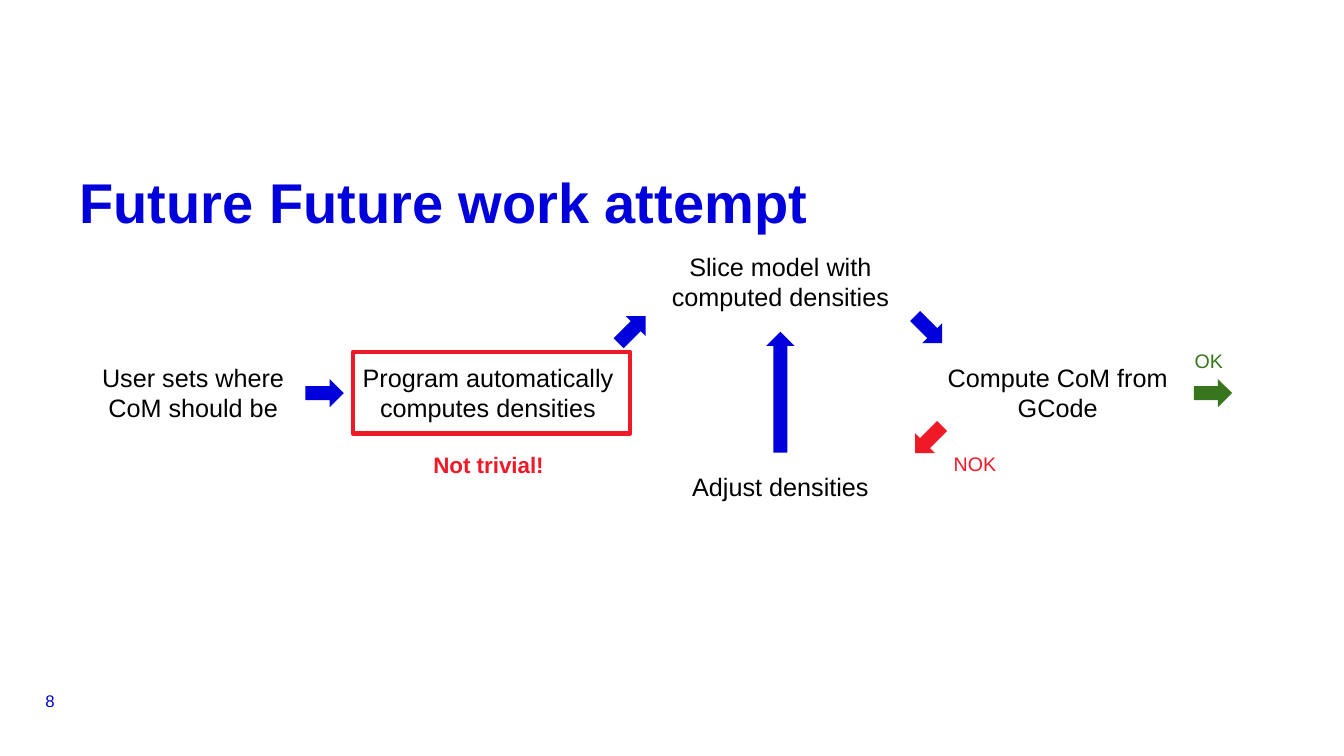
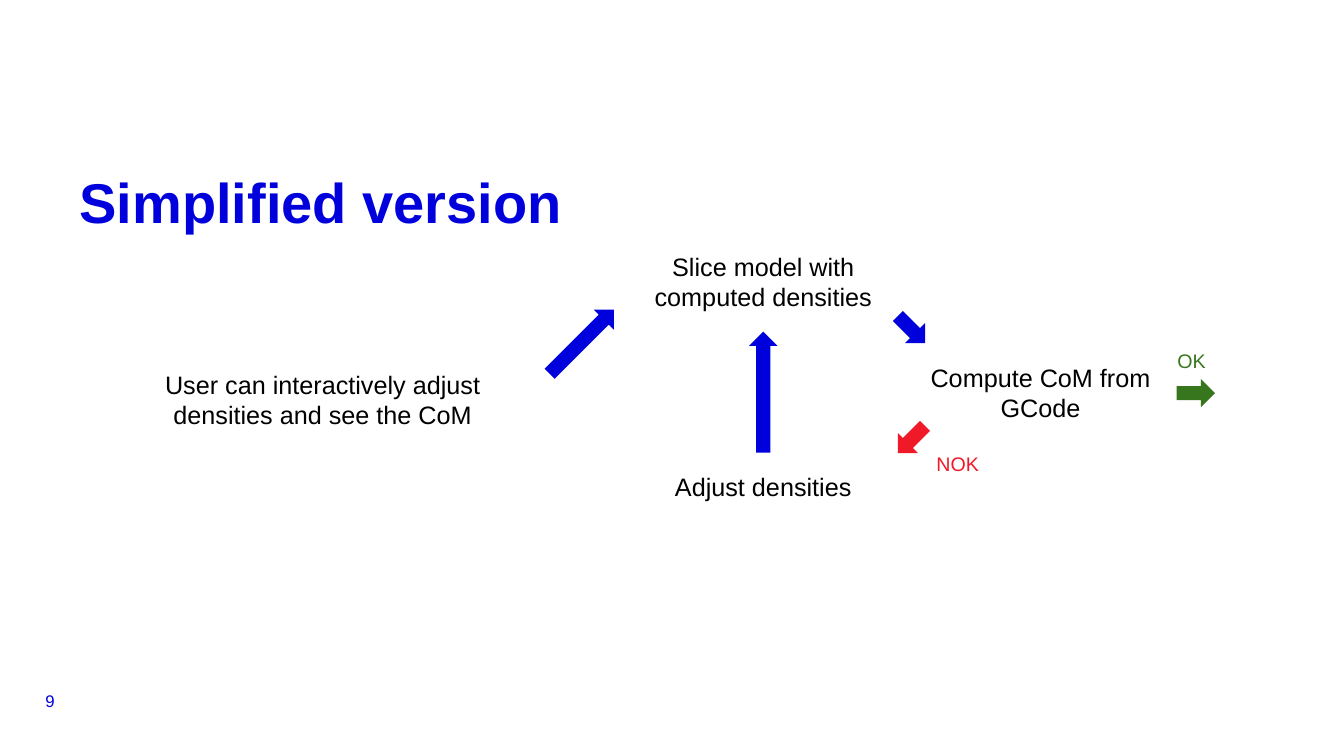
from pptx import Presentation
from pptx.dml.color import RGBColor
from pptx.enum import shapes, text
from pptx.util import Inches, Pt

BLUE = RGBColor(0x00, 0x00, 0xDC)
RED = RGBColor(0xF0, 0x19, 0x28)
GREEN = RGBColor(0x38, 0x76, 0x1D)
BLACK = RGBColor(0x00, 0x00, 0x00)
FONT = "Arial"
ARROW_LENGTH = 0.38
ARROW_HEIGHT = 0.28
STEP_TOP = 3.49
STEP_HEIGHT = 0.81


def add_text(page, words, left, top, width, height, size=18, color=BLACK,
             bold=False, align=text.PP_ALIGN.LEFT,
             anchor=text.MSO_ANCHOR.TOP, inset=0.1):
    box = page.shapes.add_textbox(
        Inches(left), Inches(top), Inches(width), Inches(height))
    frame = box.text_frame
    frame.word_wrap = True
    frame.vertical_anchor = anchor
    frame.margin_left = frame.margin_right = Inches(inset)
    frame.margin_top = frame.margin_bottom = Inches(inset)
    frame.text = words
    for para in frame.paragraphs:
        para.alignment = align
        para.font.name = FONT
        para.font.size = Pt(size)
        para.font.bold = bold
        para.font.color.rgb = color


def add_step(page, words, left, top, width=2.48, height=STEP_HEIGHT):
    add_text(page, words, left, top, width, height,
             align=text.PP_ALIGN.CENTER)


def add_label(page, words, left, top, color):
    add_text(page, words, left, top, 0.73, 0.44, size=14, color=color)


def add_arrow(page, left, top, length=ARROW_LENGTH, rotation=0, color=BLUE):
    arrow = page.shapes.add_shape(
        shapes.MSO_SHAPE.RIGHT_ARROW, Inches(left), Inches(top),
        Inches(length), Inches(ARROW_HEIGHT))
    arrow.rotation = rotation
    arrow.shadow.inherit = False
    arrow.fill.solid()
    arrow.fill.fore_color.rgb = color
    arrow.line.fill.background()


def add_frame(page, left, top, width, height):
    frame = page.shapes.add_shape(
        shapes.MSO_SHAPE.RECTANGLE, Inches(left), Inches(top),
        Inches(width), Inches(height))
    frame.shadow.inherit = False
    frame.fill.background()
    frame.line.color.rgb = RED
    frame.line.width = Pt(3)


def add_page(deck, title, number):
    page = deck.slides.add_slide(deck.slide_layouts[6])
    add_text(page, str(number), 0.45, 6.81, 0.28, 0.28, size=12, color=BLUE,
             anchor=text.MSO_ANCHOR.MIDDLE, inset=0)
    add_text(page, title, 0.79, 1.66, 11.76, 0.64, size=40, color=BLUE,
             bold=True, inset=0)
    return page


def add_density_loop(page, left):
    add_step(page, "Slice model with computed densities", left, 2.39)
    add_step(page, "Adjust densities", left, 4.58, height=0.5)
    add_step(page, "Compute CoM from GCode", left + 2.75, STEP_TOP)
    add_arrow(page, left + 2.52, 3.13, rotation=45)
    add_arrow(page, left + 2.52, 4.22, rotation=135, color=RED)
    add_arrow(page, left + 5.34, 3.76, color=GREEN)
    add_arrow(page, left + 0.64, 3.75, length=1.2, rotation=270)
    add_label(page, "OK", left + 5.25, 3.36, GREEN)
    add_label(page, "NOK", left + 2.86, 4.38, RED)


def build_future_work(deck):
    page = add_page(deck, "Future Future work attempt", 8)
    add_step(page, "User sets where\nCoM should be", 0.87, STEP_TOP, 2.09)
    add_step(page, "Program automatically computes densities",
             3.41, STEP_TOP, 2.86)
    add_density_loop(page, 6.5)
    add_arrow(page, 3.03, 3.76)
    add_arrow(page, 6.08, 3.13, rotation=315)
    add_frame(page, 3.5, STEP_TOP, 2.75, STEP_HEIGHT)
    add_text(page, "Not trivial!", 4.2, 4.38, 2, 0.47, size=16, color=RED,
             bold=True)


def build_simplified_version(deck):
    page = add_page(deck, "Simplified version", 9)
    add_step(page, "User can interactively adjust densities and see the CoM",
             1.05, 3.56, 4.3)
    add_density_loop(page, 6.33)
    add_arrow(page, 5.32, 3.25, length=0.9, rotation=315)


def main():
    deck = Presentation()
    deck.slide_width = Inches(13.33)
    deck.slide_height = Inches(7.5)
    build_future_work(deck)
    build_simplified_version(deck)
    deck.save("out.pptx")


if __name__ == "__main__":
    main()
